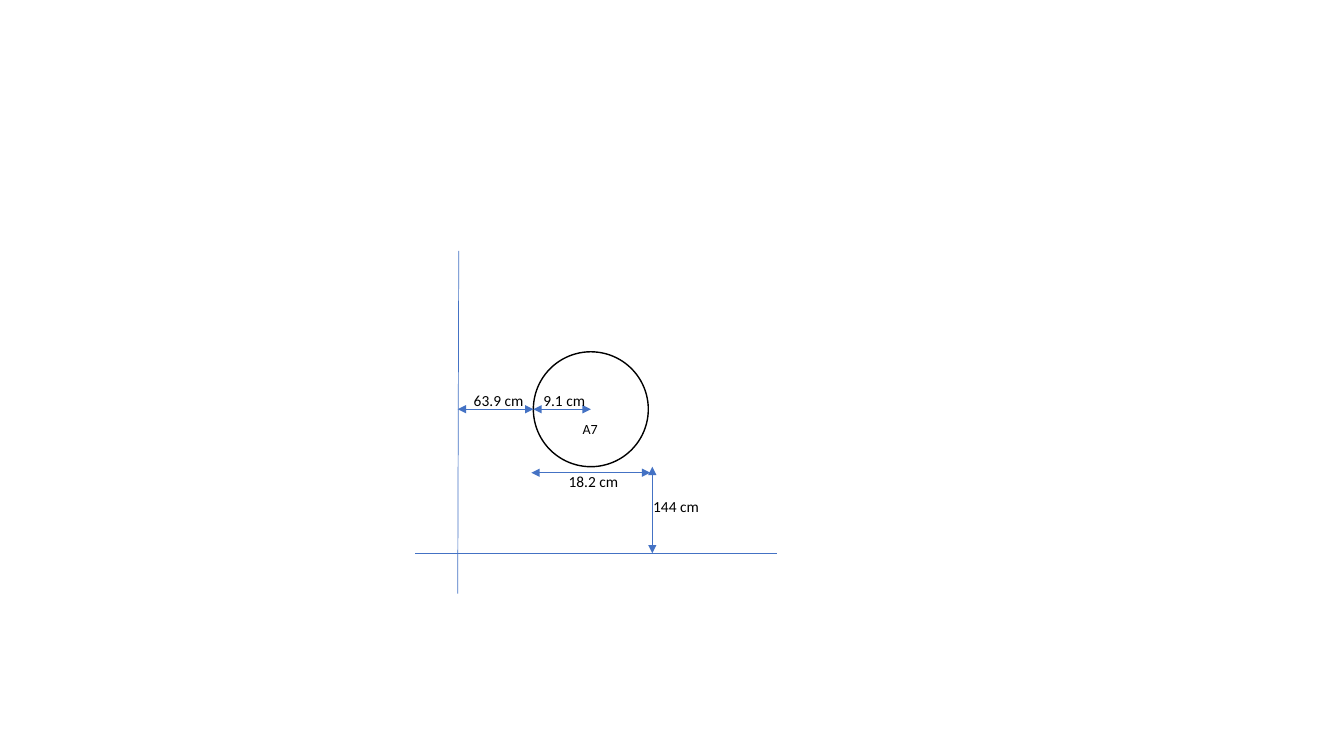
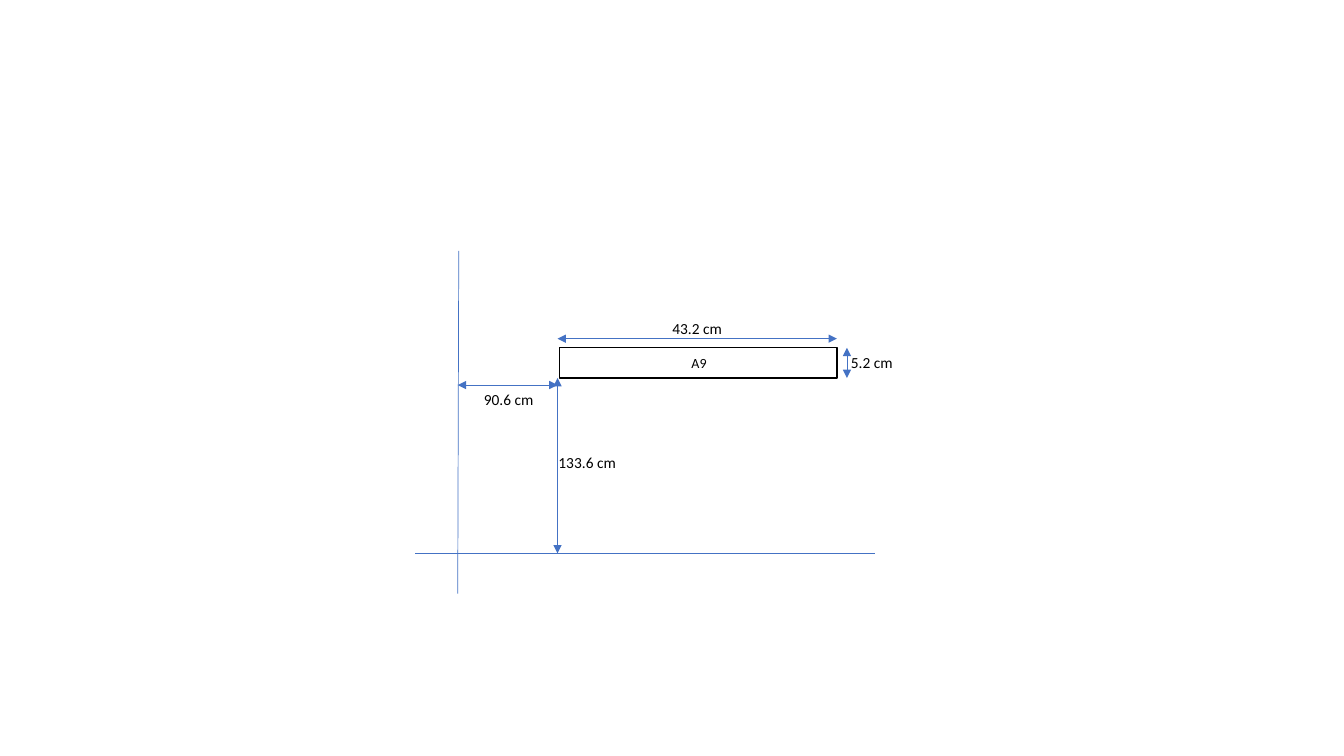
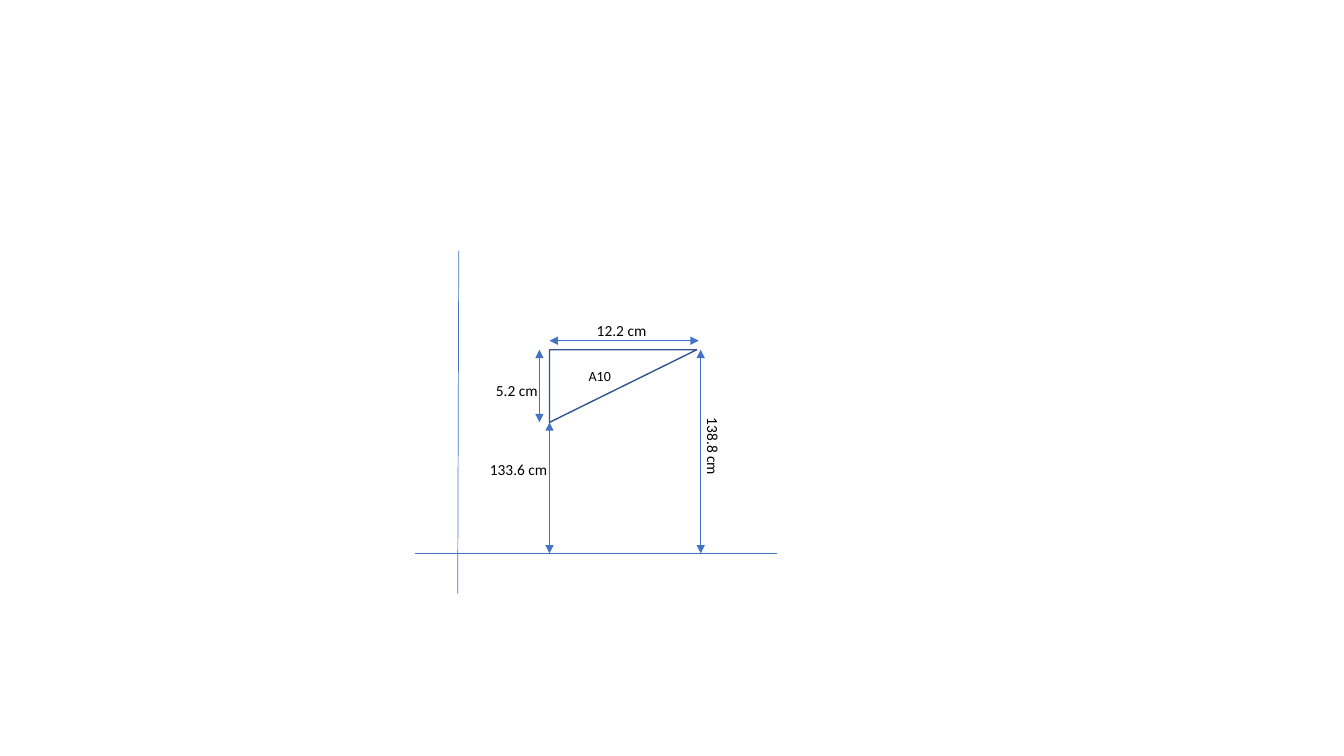
from dataclasses import dataclass

from lxml import etree
from pptx import Presentation
from pptx.dml.color import RGBColor
from pptx.enum.shapes import MSO_CONNECTOR, MSO_SHAPE
from pptx.enum.text import PP_ALIGN
from pptx.oxml.ns import qn
from pptx.util import Inches, Pt

BLUE = RGBColor(0x44, 0x72, 0xC4)
NAVY = RGBColor(0x32, 0x54, 0x91)
BLACK = RGBColor(0, 0, 0)
WHITE = RGBColor(0xFF, 0xFF, 0xFF)
STRAIGHT = MSO_CONNECTOR.STRAIGHT
CIRCLE, BAR, WEDGE = MSO_SHAPE.OVAL, MSO_SHAPE.RECTANGLE, MSO_SHAPE.RIGHT_TRIANGLE
LEFT, CENTER = PP_ALIGN.LEFT, PP_ALIGN.CENTER

FONT = "Calibri"
NAME_SIZE, MEASURE_SIZE = 10, 11
NAME_BOX, MEASURE_HEIGHT = (0.49, 0.27), 0.29

# Reference lines, in inches: the wall leans slightly, the floor is level
WALL, WALL_TOP, WALL_END = 4.54, (4.55, 2.49), (4.54, 5.89)
FLOOR, FLOOR_START = 5.49, 4.12


@dataclass
class Figure:
    preset: int
    left: float
    top: float
    width: float
    height: float
    outline: RGBColor = BLACK
    upside_down: bool = False

    @property
    def right(self):
        return self.left + self.width

    @property
    def bottom(self):
        return self.top + self.height

    @property
    def mid_x(self):
        return self.left + self.width / 2

    @property
    def mid_y(self):
        return self.top + self.height / 2


@dataclass
class Measure:
    text: str
    start: tuple
    end: tuple
    label: tuple  # left, top, width
    align: int = LEFT
    turn: int = 0


def across(text, x1, x2, y, label, align=LEFT):
    return Measure(text, (x1, y), (x2, y), label, align)


def upright(text, x, y1, y2, label, turn=0):
    return Measure(text, (x, y1), (x, y2), label, turn=turn)


# Content: name, name position, floor end, figure, measures
disc = Figure(CIRCLE, 5.29, 3.49, 1.14, 1.14)
strip = Figure(BAR, 5.55, 3.45, 2.75, 0.3)
corner = Figure(WEDGE, 5.45, 3.47, 1.46, 0.72, NAVY, True)

DRAWINGS = [
    ("A7", (5.68, 4.12), 7.71, disc, [
        across("18.2 cm", disc.left - 0.02, disc.right + 0.02, disc.bottom + 0.06,
               (5.54, 4.63, 0.89)),
        across("9.1 cm", disc.left, disc.mid_x, disc.mid_y, (5.29, 3.83, 0.89)),
        across("63.9 cm", WALL, disc.left, disc.mid_y, (4.6, 3.83, 0.89)),
        upright("144 cm", disc.right + 0.04, disc.bottom, FLOOR, (6.38, 4.88, 0.89)),
    ]),
    ("A9", (6.76, 3.47), 8.68, strip, [
        across("43.2 cm", strip.left - 0.02, strip.right, strip.top - 0.09,
               (5.81, 3.12, 2.21), CENTER),
        across("90.6 cm", WALL, strip.left - 0.02, strip.bottom + 0.07, (4.7, 3.82, 0.73)),
        upright("5.2 cm", strip.right + 0.1, strip.top, strip.bottom, (8.34, 3.45, 0.68)),
        upright("133.6 cm", strip.left - 0.02, strip.bottom, FLOOR, (5.44, 4.45, 0.88)),
    ]),
    ("A10", (5.74, 3.6), 7.71, corner, [
        upright("133.6 cm", corner.left, corner.bottom, FLOOR, (4.76, 4.52, 0.85)),
        upright("5.2 cm", corner.left - 0.1, corner.top, corner.bottom, (4.82, 3.73, 0.73)),
        across("12.2 cm", corner.left, corner.right + 0.02, corner.top - 0.09,
               (5.82, 3.14, 0.73)),
        upright("138.8 cm", corner.right + 0.04, corner.top, FLOOR, (6.63, 4.34, 0.88), 90),
    ]),
]


def add_line(slide, start, end, arrows=False):
    line = slide.shapes.add_connector(STRAIGHT, *map(Inches, start + end))
    line.line.color.rgb = BLUE
    line.line.width = Pt(0.5)
    if arrows:
        outline = line.line._get_or_add_ln()
        for tip in ("a:headEnd", "a:tailEnd"):
            etree.SubElement(outline, qn(tip), type="triangle")
    etree.SubElement(line._element.spPr, qn("a:effectLst"))


def add_text(slide, text, box, size, align=LEFT, turn=0):
    label = slide.shapes.add_textbox(*map(Inches, box))
    label.rotation = turn
    label.text_frame.word_wrap = True
    paragraph = label.text_frame.paragraphs[0]
    paragraph.text = text
    paragraph.alignment = align
    paragraph.font.name = FONT
    paragraph.font.size = Pt(size)
    paragraph.font.color.rgb = BLACK


def add_figure(slide, figure):
    box = (figure.left, figure.top, figure.width, figure.height)
    shape = slide.shapes.add_shape(figure.preset, *map(Inches, box))
    shape.shadow.inherit = False
    shape.fill.solid()
    shape.fill.fore_color.rgb = WHITE
    shape.line.color.rgb = figure.outline
    shape.line.width = Pt(1)
    if figure.upside_down:
        shape.rotation = 180
        shape._element.spPr.xfrm.set("flipH", "1")


def main():
    deck = Presentation()
    deck.slide_width, deck.slide_height = Inches(13.33), Inches(7.5)
    blank = deck.slide_layouts[6]
    for name, name_at, floor_end, figure, measures in DRAWINGS:
        slide = deck.slides.add_slide(blank)
        # Wall and floor
        add_line(slide, WALL_TOP, WALL_END)
        add_line(slide, (FLOOR_START, FLOOR), (floor_end, FLOOR))
        # Figure with its measures and name
        add_figure(slide, figure)
        for measure in measures:
            add_line(slide, measure.start, measure.end, arrows=True)
            add_text(slide, measure.text, measure.label + (MEASURE_HEIGHT,),
                     MEASURE_SIZE, measure.align, measure.turn)
        add_text(slide, name, name_at + NAME_BOX, NAME_SIZE)
    deck.save("out.pptx")


if __name__ == "__main__":
    main()
